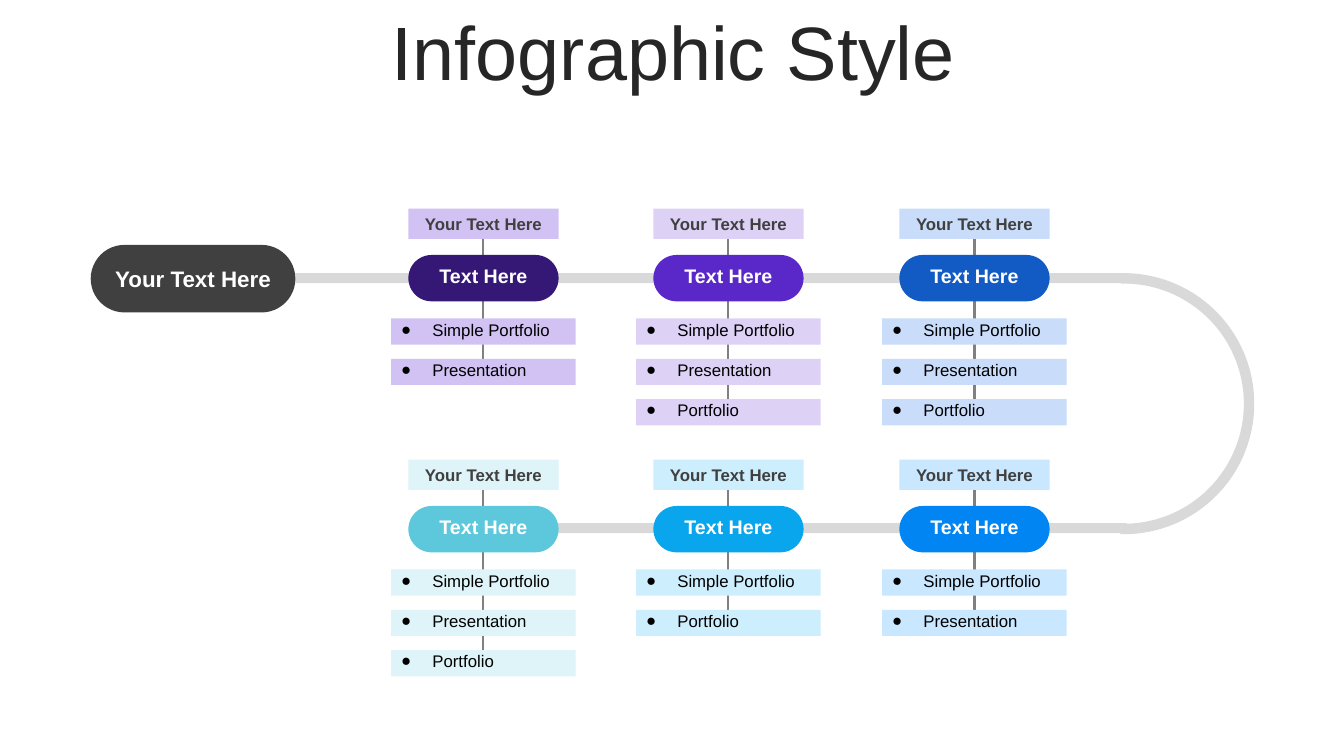
from dataclasses import dataclass

from lxml import etree
from pptx import Presentation
from pptx.dml.color import RGBColor
from pptx.enum.shapes import MSO_CONNECTOR, MSO_SHAPE
from pptx.enum.text import MSO_ANCHOR, PP_ALIGN
from pptx.oxml.ns import qn
from pptx.shapes.autoshape import Shape
from pptx.shapes.connector import Connector
from pptx.slide import Slide
from pptx.util import Pt

RECT = MSO_SHAPE.RECTANGLE
PILL = MSO_SHAPE.ROUNDED_RECTANGLE
ARC = MSO_SHAPE.BLOCK_ARC
STRAIGHT = MSO_CONNECTOR.STRAIGHT
TOP, MIDDLE = MSO_ANCHOR.TOP, MSO_ANCHOR.MIDDLE
CENTER, LEFT = PP_ALIGN.CENTER, PP_ALIGN.LEFT
BOTTOM_SITE = 2

PX = 9144
FONT = "Arial"
COLORS = {
    "title": "262626",
    "track": "D9D9D9",
    "dark": "404040",
    "stem": "808080",
    "white": "FFFFFF",
    "black": "000000",
}

FIRST_COLUMN, THREE_COLUMNS_SPAN = 405, 731
FIRST_ROW, ROW_PITCH = 207, 249
STAGE_WIDTH, ITEM_WIDTH = 149, 183
ITEM_OFFSET, ITEM_PITCH = 109, 40
INDENT = 31


@dataclass(frozen=True)
class Box:
    left: int
    top: int
    width: int
    height: int

    def emu(self) -> tuple[int, int, int, int]:
        return self.left * PX, self.top * PX, self.width * PX, self.height * PX


@dataclass(frozen=True)
class Stage:
    column: int
    row: int
    strong: str
    pale: str
    items: tuple[str, ...]


STAGES = (
    Stage(0, 0, "351876", "D1C2F3", ("Simple Portfolio", "Presentation")),
    Stage(1, 0, "5A28C8", "DDD2F6", ("Simple Portfolio", "Presentation", "Portfolio")),
    Stage(2, 0, "125AC4", "C9DDFA", ("Simple Portfolio", "Presentation", "Portfolio")),
    Stage(0, 1, "5DC8DC", "DFF4F8", ("Simple Portfolio", "Presentation", "Portfolio")),
    Stage(1, 1, "0AA6ED", "CDEEFD", ("Simple Portfolio", "Portfolio")),
    Stage(2, 1, "0085F2", "C9E7FF", ("Simple Portfolio", "Presentation")),
)


def add_block(slide: Slide, kind: MSO_SHAPE, box: Box, color: str) -> Shape:
    block = slide.shapes.add_shape(kind, *box.emu())
    block.shadow.inherit = False
    block.fill.solid()
    block.fill.fore_color.rgb = RGBColor.from_string(color)
    block.line.fill.background()
    if kind == PILL:
        block.adjustments[0] = 0.5
    return block


def write(
    block: Shape,
    text: str,
    size: int,
    color: str,
    bold: bool = False,
    bulleted: bool = False,
    spacing: float = 1.0,
    lift: int = 0,
) -> None:
    frame = block.text_frame
    frame.word_wrap = True
    frame.vertical_anchor = TOP if bulleted else MIDDLE
    if lift:
        frame.margin_top, frame.margin_bottom = 0, 2 * lift * PX
    paragraph = frame.paragraphs[0]
    paragraph.text = text
    paragraph.alignment = LEFT if bulleted else CENTER
    paragraph.line_spacing = spacing
    if bulleted:
        properties = paragraph._p.get_or_add_pPr()
        properties.set("marL", str(INDENT * PX))
        properties.set("indent", str(-INDENT * PX))
        etree.SubElement(properties, qn("a:buFont"), typeface=FONT)
        etree.SubElement(properties, qn("a:buChar"), char="●")
    paragraph.font.name = FONT
    paragraph.font.size = Pt(size)
    paragraph.font.bold = bold
    paragraph.font.color.rgb = RGBColor.from_string(color)


def add_stem(slide: Slide) -> Connector:
    stem = slide.shapes.add_connector(STRAIGHT, 0, 0, 0, 0)
    stem.line.color.rgb = RGBColor.from_string(COLORS["stem"])
    stem.line.width = Pt(1.5)
    etree.SubElement(stem._element.spPr, qn("a:effectLst"))
    return stem


def add_stage(slide: Slide, stage: Stage) -> None:
    left = FIRST_COLUMN + stage.column * THREE_COLUMNS_SPAN // 3
    top = FIRST_ROW + stage.row * ROW_PITCH
    stem = add_stem(slide)

    heading = add_block(slide, RECT, Box(left, top, STAGE_WIDTH, 30), stage.pale)
    write(heading, "Your Text Here", 12, COLORS["dark"], bold=True)
    station = add_block(slide, PILL, Box(left, top + 46, STAGE_WIDTH, 46), stage.strong)
    write(station, "Text Here", 14, COLORS["white"], bold=True, lift=2)

    item_left = left - (ITEM_WIDTH - STAGE_WIDTH) // 2
    for index, text in enumerate(stage.items):
        item_top = top + ITEM_OFFSET + index * ITEM_PITCH
        item = add_block(slide, RECT, Box(item_left, item_top, ITEM_WIDTH, 26), stage.pale)
        write(item, text, 12, COLORS["black"], bulleted=True, spacing=0.8)

    stem.begin_connect(heading, BOTTOM_SITE)
    stem.end_connect(item, BOTTOM_SITE)


def add_track(slide: Slide) -> None:
    bend = add_block(slide, ARC, Box(985, 271, 259, 259), COLORS["track"])
    for index, value in enumerate((161.27, 54.9, 0.04)):
        bend.adjustments[index] = value
    for lane in (Box(293, 271, 827, 10), Box(491, 519, 626, 10)):
        add_block(slide, RECT, lane, COLORS["track"])


def main() -> None:
    deck = Presentation()
    deck.slide_width, deck.slide_height = 1333 * PX, 750 * PX
    slide = deck.slides.add_slide(deck.slide_layouts[6])

    title = slide.shapes.add_textbox(*Box(35, 16, 1266, 79).emu())
    write(title, "Infographic Style", 54, COLORS["title"], spacing=0.9)

    add_track(slide)
    start = add_block(slide, PILL, Box(90, 243, 203, 67), COLORS["dark"])
    write(start, "Your Text Here", 16, COLORS["white"], bold=True)
    for stage in STAGES:
        add_stage(slide, stage)

    deck.save("out.pptx")


if __name__ == "__main__":
    main()
